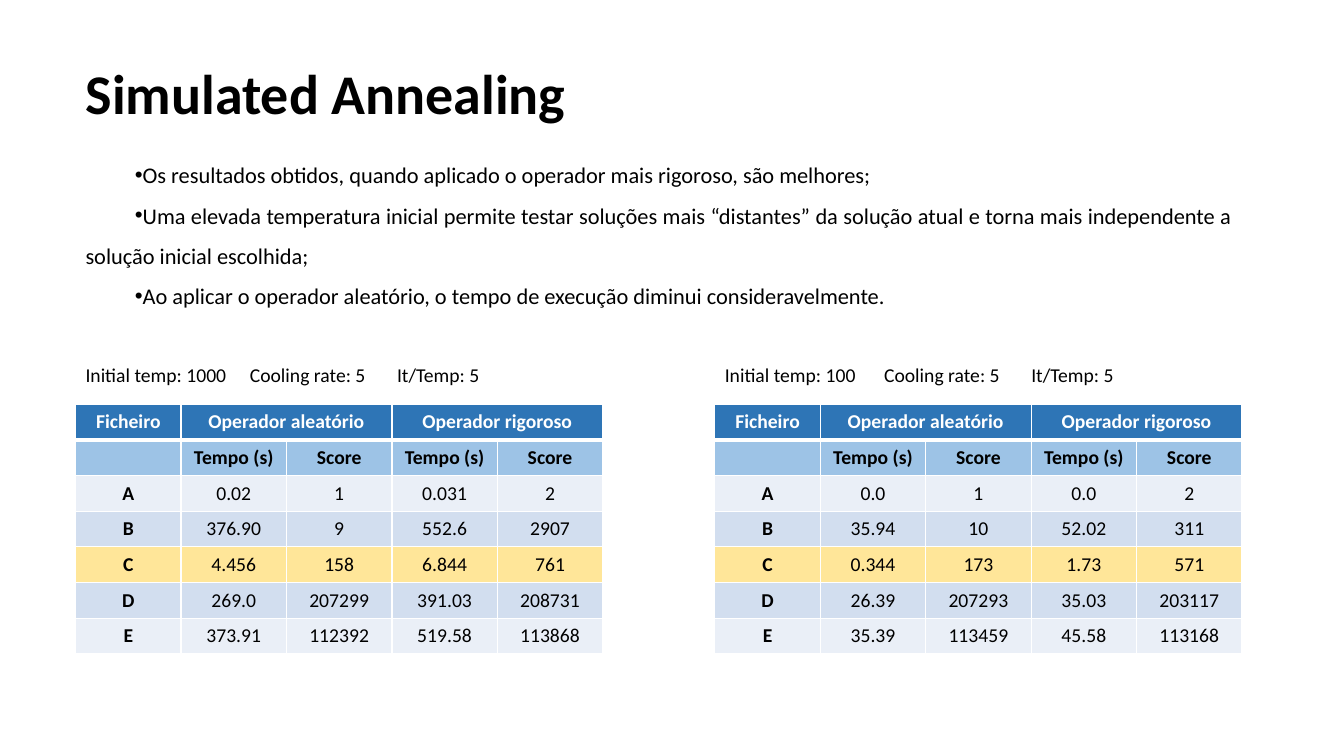
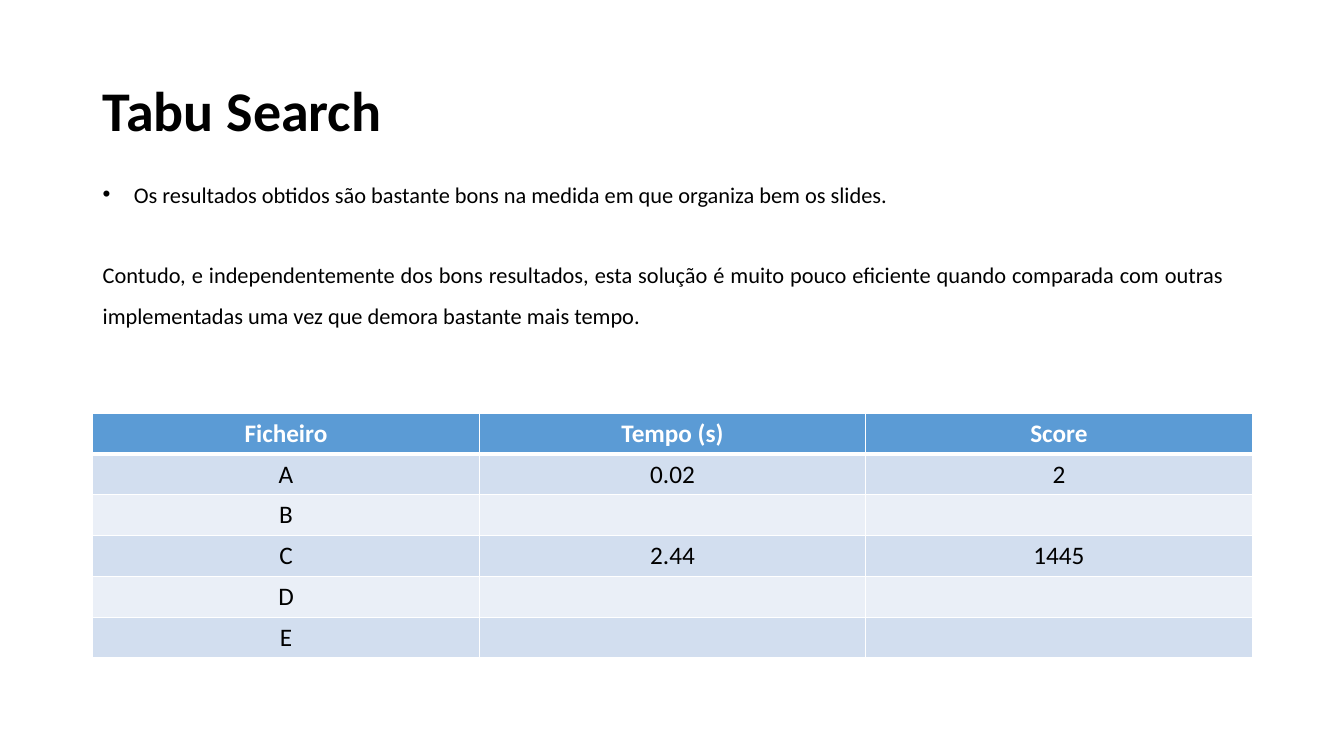
from dataclasses import dataclass

from lxml.etree import SubElement
from pptx import Presentation
from pptx.dml.color import RGBColor
from pptx.enum.text import MSO_ANCHOR, PP_ALIGN
from pptx.oxml import parse_xml
from pptx.oxml.ns import nsdecls, qn
from pptx.util import Inches, Pt


@dataclass(frozen=True)
class Theme:
    font: str = "Calibri"
    title_size: int = 40
    body_size: int = 16
    small_size: int = 14
    table_size: int = 18
    text: str = "000000"
    white: str = "FFFFFF"
    header: str = "5B9BD5"
    header_dark: str = "2E75B6"
    subheader: str = "9DC3E6"
    band: str = "D2DEEF"
    band_light: str = "EAEFF7"
    highlight: str = "FFE699"
    rule: float = 1
    header_rule: float = 3


T = Theme()

ANNEALING_POINTS = [
    "Os resultados obtidos, quando aplicado o operador mais rigoroso, são melhores;",
    "Uma elevada temperatura inicial permite testar soluções mais “distantes” da solução atual "
    "e torna mais independente a solução inicial escolhida;",
    "Ao aplicar o operador aleatório, o tempo de execução diminui consideravelmente.",
]
ANNEALING_HEAD = [
    ("Ficheiro", "Operador aleatório", None, "Operador rigoroso", None),
    ("", "Tempo (s)", "Score", "Tempo (s)", "Score"),
]
ANNEALING_FILLS = [T.header_dark, T.subheader, T.band_light, T.band,
                   T.highlight, T.band, T.band_light]
ANNEALING_RUNS = [
    {
        "left": 0.75,
        "caption": "Initial temp: 1000\tCooling rate: 5\tIt/Temp: 5",
        "tabs": (1.63, 3.09),
        "rows": [
            ("A", "0.02", "1", "0.031", "2"),
            ("B", "376.90", "9", "552.6", "2907"),
            ("C", "4.456", "158", "6.844", "761"),
            ("D", "269.0", "207299", "391.03", "208731"),
            ("E", "373.91", "112392", "519.58", "113868"),
        ],
    },
    {
        "left": 7.09,
        "caption": "Initial temp: 100\tCooling rate: 5\tIt/Temp: 5",
        "tabs": (1.58, 3.04),
        "rows": [
            ("A", "0.0", "1", "0.0", "2"),
            ("B", "35.94", "10", "52.02", "311"),
            ("C", "0.344", "173", "1.73", "571"),
            ("D", "26.39", "207293", "35.03", "203117"),
            ("E", "35.39", "113459", "45.58", "113168"),
        ],
    },
]

TABU_POINT = "Os resultados obtidos são bastante bons na medida em que organiza bem os slides."
TABU_REMARK = (
    "Contudo, e independentemente dos bons resultados, esta solução é muito pouco eficiente "
    "quando comparada com outras implementadas uma vez que demora bastante mais tempo."
)
TABU_ROWS = [
    ("Ficheiro", "Tempo (s)", "Score"),
    ("A", "0.02", "2"),
    ("B", "", ""),
    ("C", "2.44", "1445"),
    ("D", "", ""),
    ("E", "", ""),
]
TABU_FILLS = [T.header, T.band, T.band_light, T.band, T.band_light, T.band]


def rgb(color):
    return RGBColor.from_string(color)


def set_font(p, size, color=T.text, bold=False):
    p.font.name = T.font
    p.font.size = Pt(size)
    p.font.bold = bold
    p.font.color.rgb = rgb(color)


def add_title_slide(prs, title, box):
    s = prs.slides.add_slide(prs.slide_layouts[5])
    sp = s.shapes.title
    sp.left, sp.top, sp.width, sp.height = map(Inches, box)
    tf = sp.text_frame
    tf.text = title
    tf.vertical_anchor = MSO_ANCHOR.MIDDLE
    p = tf.paragraphs[0]
    p.alignment = PP_ALIGN.LEFT
    p.line_spacing = 0.9
    set_font(p, T.title_size, bold=True)
    return s


def add_text(s, box, lines, size):
    tf = s.shapes.add_textbox(*map(Inches, box)).text_frame
    tf.word_wrap = True
    tf.text = "\n".join(lines)
    for p in tf.paragraphs:
        set_font(p, size)
    return tf.paragraphs


def justify(p):
    p.alignment = PP_ALIGN.JUSTIFY
    p.line_spacing = 1.5


def insert_before_font(p, element):
    p._p.get_or_add_pPr().find(qn("a:defRPr")).addprevious(element)


def set_bullet(p, margin, indent):
    pPr = p._p.get_or_add_pPr()
    pPr.set("marL", str(Inches(margin)))
    pPr.set("indent", str(Inches(indent)))
    insert_before_font(p, parse_xml(f'<a:buFont {nsdecls("a")} typeface="Arial"/>'))
    insert_before_font(p, parse_xml(f'<a:buChar {nsdecls("a")} char="•"/>'))


def set_tabs(p, stops):
    tabs = parse_xml(f'<a:tabLst {nsdecls("a")}/>')
    for stop in stops:
        SubElement(tabs, qn("a:tab"), pos=str(Inches(stop)), algn="l")
    insert_before_font(p, tabs)


def set_borders(cell, top, bottom):
    tcPr = cell._tc.get_or_add_tcPr()
    widths = {"lnL": T.rule, "lnR": T.rule, "lnT": top, "lnB": bottom}
    for i, (side, width) in enumerate(widths.items()):
        tcPr.insert(i, parse_xml(
            f'<a:{side} {nsdecls("a")} w="{Pt(width)}"><a:solidFill>'
            f'<a:srgbClr val="{T.white}"/></a:solidFill></a:{side}>'))


def add_grid(s, box, rows, fills, size, bold_rows=1, bold_first_col=False):
    n_rows, n_cols = len(rows), len(rows[0])
    left, top, width, height = map(Inches, box)
    table = s.shapes.add_table(n_rows, n_cols, left, top, width, height).table
    table.horz_banding = False
    for column in table.columns:
        column.width = width // n_cols
    for row in table.rows:
        row.height = height // n_rows
    for r, (values, fill) in enumerate(zip(rows, fills)):
        for c, value in enumerate(values):
            cell = table.cell(r, c)
            cell.fill.solid()
            cell.fill.fore_color.rgb = rgb(fill)
            cell.margin_top = cell.margin_bottom = Inches(0.02)
            cell.vertical_anchor = MSO_ANCHOR.MIDDLE
            set_borders(cell,
                        T.header_rule if r == 1 else T.rule,
                        T.header_rule if r == 0 else T.rule)
            if value is None:
                table.cell(r, c - 1).merge(cell)
                continue
            cell.text = value
            p = cell.text_frame.paragraphs[0]
            p.alignment = PP_ALIGN.CENTER
            set_font(p, size, T.white if r == 0 else T.text,
                     r < bold_rows or (bold_first_col and c == 0))


def build_annealing(prs):
    s = add_title_slide(prs, "Simulated Annealing", (0.75, 0.6, 11, 0.72))
    for p in add_text(s, (0.75, 1.42, 11.57, 2.12), ANNEALING_POINTS, T.body_size):
        justify(p)
        set_bullet(p, 0, 0.49)
    for run in ANNEALING_RUNS:
        caption = add_text(s, (run["left"], 3.55, 4.9, 0.34), [run["caption"]], T.small_size)
        set_tabs(caption[0], run["tabs"])
        add_grid(s, (run["left"], 4.01, 5.23, 2.48), ANNEALING_HEAD + run["rows"],
                 ANNEALING_FILLS, T.small_size, bold_rows=2, bold_first_col=True)


def build_tabu(prs):
    s = add_title_slide(prs, "Tabu Search", (0.92, 0.4, 11.5, 1.45))
    point, remark = add_text(s, (0.92, 1.61, 11.32, 2.02),
                             [TABU_POINT, TABU_REMARK], T.body_size)
    justify(point)
    set_bullet(point, 0.31, -0.31)
    justify(remark)
    remark.space_before = Pt(29)
    add_grid(s, (0.92, 4.1, 11.5, 2.43), TABU_ROWS, TABU_FILLS, T.table_size)


def main():
    prs = Presentation()
    prs.slide_width, prs.slide_height = Inches(13.33), Inches(7.5)
    build_annealing(prs)
    build_tabu(prs)
    prs.save("out.pptx")


if __name__ == "__main__":
    main()
